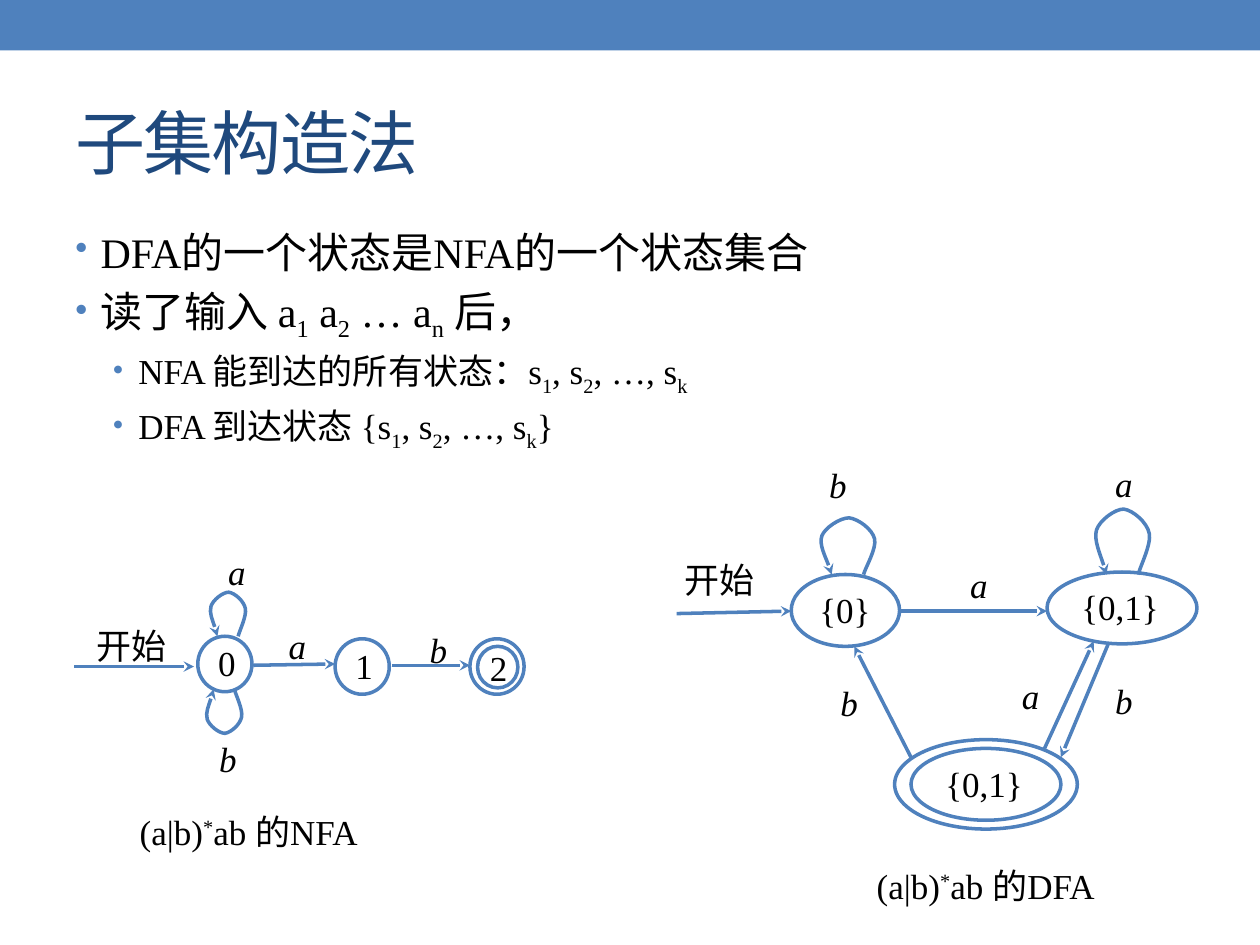
"""Build the slide on the subset construction, with an NFA and its DFA."""
import dataclasses

import lxml.etree
import pptx
import pptx.dml.color
import pptx.enum.shapes
import pptx.enum.text
import pptx.oxml.ns
import pptx.util


@dataclasses.dataclass(frozen=True)
class Theme:
    blue: str = "4F81BD"
    navy: str = "1F497D"
    black: str = "000000"
    font: str = "Times New Roman"
    title: int = 40
    body: int = 24
    small: int = 20
    stroke: int = 2


theme = Theme()
qn = pptx.oxml.ns.qn
color = pptx.dml.color.RGBColor.from_string
shapes_enum = pptx.enum.shapes
text_enum = pptx.enum.text

deck = pptx.Presentation()
deck.slide_width = pptx.util.Inches(10)
deck.slide_height = pptx.util.Inches(7.5)
column = deck.slide_width // 100
row = deck.slide_height // 75
page = deck.slides.add_slide(deck.slide_layouts[5])


def write(para, pieces, size, shift=0, italic=False, ink=theme.black):
    """Write pieces as runs, raising or lowering every second one."""
    para.alignment = text_enum.PP_ALIGN.LEFT
    for index, piece in enumerate(pieces):
        span = para.add_run()
        span.text = piece
        span.font.name = theme.font
        span.font.size = pptx.util.Pt(size)
        span.font.italic = italic
        span.font.color.rgb = color(ink)
        if index % 2:
            span.font._element.set("baseline", str(shift * 1000))


def draw_line(shape, arrow=False):
    """Give a shape the diagram's line, with an arrowhead if wanted."""
    shape.line.color.rgb = color(theme.blue)
    shape.line.width = pptx.util.Pt(theme.stroke)
    if arrow:
        ending = shape.line._get_or_add_ln()
        lxml.etree.SubElement(ending, qn("a:tailEnd"), type="stealth")


band = page.shapes.add_shape(
    shapes_enum.MSO_SHAPE.RECTANGLE, 0, 0, deck.slide_width, 4 * row)
band.shadow.inherit = False
band.fill.solid()
band.fill.fore_color.rgb = color(theme.blue)
band.line.fill.background()

title = page.shapes.title
title.left, title.top = 5 * column, int(5.8 * row)
title.width, title.height = 90 * column, int(10.8 * row)
title.text_frame.vertical_anchor = text_enum.MSO_ANCHOR.MIDDLE
write(title.text_frame.paragraphs[0], ["子集构造法"], theme.title, ink=theme.navy)
title.text_frame.paragraphs[0].runs[0].font._element.set("spc", "-100")

bullets = [
    (0, ["DFA的一个状态是NFA的一个状态集合"]),
    (0, ["读了输入 a", "1", " a", "2", " … a", "n", " 后，"]),
    (1, ["NFA 能到达的所有状态：s", "1", ", s", "2", ", …, s", "k"]),
    (1, ["DFA 到达状态 {s", "1", ", s", "2", ", …, s", "k", "}"]),
]
body = page.shapes.add_textbox(5 * column, int(17.5 * row), 90 * column, int(53.3 * row))
body.text_frame.word_wrap = True
for number, (level, pieces) in enumerate(bullets):
    para = body.text_frame.add_paragraph() if number else body.text_frame.paragraphs[0]
    size = theme.small if level else theme.body
    para.level = level
    layout = para._element.get_or_add_pPr()
    layout.set("marL", str((2 + 3 * level) * column))
    layout.set("indent", str(-2 * column))
    tint = lxml.etree.SubElement(layout, qn("a:buClr"))
    lxml.etree.SubElement(tint, qn("a:srgbClr"), val=theme.blue)
    lxml.etree.SubElement(layout, qn("a:buSzPct"), val="85000")
    lxml.etree.SubElement(layout, qn("a:buChar"), char="•")
    if number:
        para.space_before = pptx.util.Pt(size * 0.2)
    write(para, pieces, size, shift=-25)

wide_inset, tight_inset = (1, 0.3, 0.2, 0.5), (0.5, 0, 0.1, 0)
states = [
    ("0", 15.7, 50.5, 4.3, 4.4, wide_inset),
    ("1", 26.6, 50.7, 4.3, 4.4, wide_inset),
    ("", 37.3, 50.7, 4.3, 4.4, wide_inset),
    ("2", 37.9, 51.3, 3.2, 3.3, tight_inset),
    ("{0}", 62.8, 45.6, 8.6, 5.7, wide_inset),
    ("{0,1}", 83.1, 45.4, 11.9, 5.7, wide_inset),
    ("", 71, 58.7, 14.5, 7.1, wide_inset),
    ("{0,1}", 72.3, 59.4, 11.9, 5.7, wide_inset),
]
for name, left, top, width, height, inset in states:
    state = page.shapes.add_shape(
        shapes_enum.MSO_SHAPE.OVAL, int(left * column), int(top * row),
        int(width * column), int(height * row))
    state.shadow.inherit = False
    state.fill.background()
    draw_line(state)
    if name:
        frame = state.text_frame
        frame.margin_left, frame.margin_right = int(inset[0] * column), int(inset[2] * column)
        frame.margin_top, frame.margin_bottom = int(inset[1] * row), int(inset[3] * row)
        frame.vertical_anchor = text_enum.MSO_ANCHOR.MIDDLE
        write(frame.paragraphs[0], [name], theme.small)

moves = [
    (5.9, 52.9, 15.4, 52.9), (20.1, 52.8, 26.6, 52.7), (31.1, 52.8, 37.3, 52.8),
    (53.7, 48.7, 62.8, 48.5), (71.4, 48.5, 83.1, 48.5), (72.3, 60.1, 67.8, 51.3),
    (82.9, 59.4, 86.8, 50.9), (88, 51, 84.2, 60.1),
]
for start_x, start_y, end_x, end_y in moves:
    move = page.shapes.add_connector(
        shapes_enum.MSO_CONNECTOR.STRAIGHT, int(start_x * column), int(start_y * row),
        int(end_x * column), int(end_y * row))
    draw_line(move, arrow=True)
    lxml.etree.SubElement(move._element.spPr, qn("a:effectLst"))

loop_shape = [
    (0.77, 1), (0.8, 0.88), (1, 0.54), (0.96, 0.37), (0.92, 0.2), (0.68, 0.02),
    (0.52, 0), (0.36, 0), (0.1, 0.18), (0.05, 0.32), (0, 0.47), (0.19, 0.86), (0.22, 1),
]
loops = [
    (16.6, 47, 3, 3.5, False), (16.3, 54.7, 3, 3.5, True),
    (65, 41.1, 4.6, 4.5, False), (86.8, 40.4, 4.6, 5.2, False),
]
for left, top, width, height, flipped in loops:
    points = [
        (int((left + x * width) * column),
         int((top + (1 - y if flipped else y) * height) * row))
        for x, y in loop_shape]
    builder = page.shapes.build_freeform(*points[0], scale=1.0)
    builder.add_line_segments(points[1:], close=False)
    loop = builder.convert_to_shape()
    loop.shadow.inherit = False
    loop.fill.background()
    draw_line(loop, arrow=True)
    outline = next(loop._element.iter(qn("a:path")))
    segments = outline.findall(qn("a:lnTo"))
    for first in range(0, len(segments), 3):
        curve = lxml.etree.SubElement(outline, qn("a:cubicBezTo"))
        for segment in segments[first:first + 3]:
            curve.append(segment[0])
            outline.remove(segment)

labels = [
    ("开始", 7.1, 49.3, 7, 4.2), ("a", 22.3, 49.3, 3.5, 3.6), ("b", 33.5, 49.6, 3.5, 3.6),
    ("a", 17.5, 43.4, 3.5, 3.6), ("b", 16.8, 58.2, 3.5, 3.6),
    ("开始", 53.7, 44, 10.6, 5.4), ("a", 76.4, 44.4, 5.3, 4.6), ("b", 65.2, 36.5, 5.3, 4.6),
    ("a", 87.9, 36.4, 5.3, 4.6), ("b", 66.1, 53.8, 5.3, 3), ("a", 80.5, 53.2, 3.7, 4.1),
    ("b", 87.9, 53.6, 5.3, 4.6),
]
for name, left, top, width, height in labels:
    label = page.shapes.add_textbox(
        int(left * column), int(top * row), int(width * column), int(height * row))
    frame = label.text_frame
    frame.word_wrap = True
    frame.margin_left = frame.margin_right = int(0.6 * column)
    frame.margin_top = frame.margin_bottom = int(0.3 * row)
    write(frame.paragraphs[0], [name], theme.small, italic=name in "ab")

for ending, left, top in [("ab 的NFA", 10.1, 63.8), ("ab 的DFA", 68.6, 68.1)]:
    caption = page.shapes.add_textbox(
        int(left * column), int(top * row), 21 * column, int(4.4 * row))
    caption.text_frame.word_wrap = False
    caption.text_frame.auto_size = text_enum.MSO_AUTO_SIZE.SHAPE_TO_FIT_TEXT
    write(caption.text_frame.paragraphs[0], ["(a|b)", "*", ending], theme.small, shift=30)

deck.save("out.pptx")
